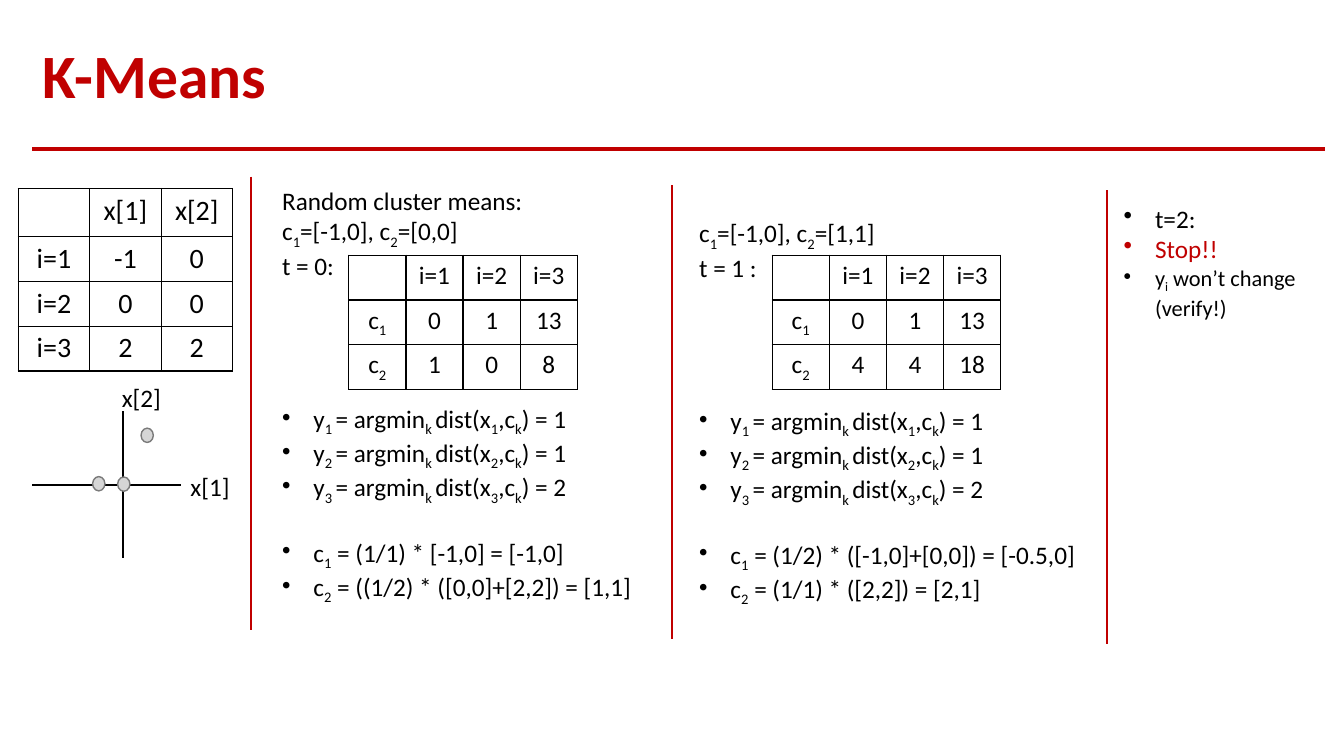
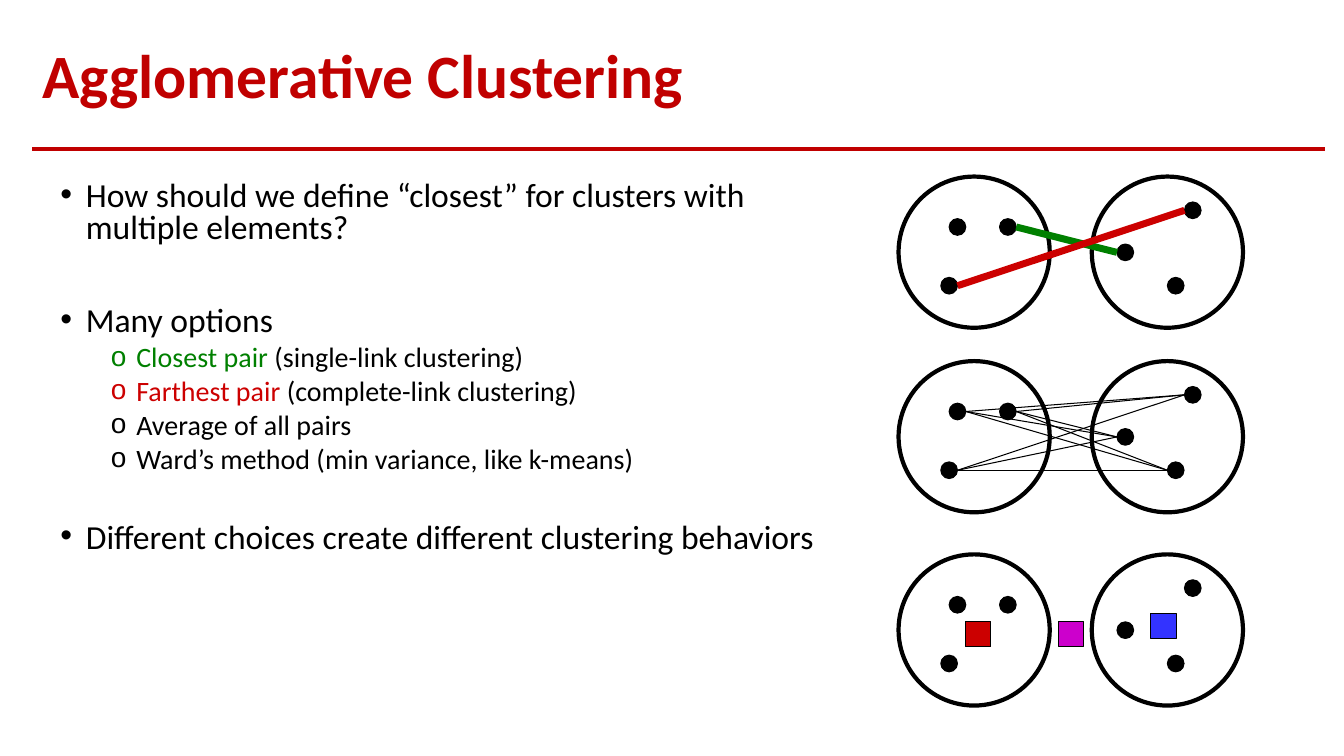
from dataclasses import dataclass
from itertools import product
from typing import Iterable, NamedTuple, Optional, Sequence

from lxml.etree import SubElement
from pptx import Presentation
from pptx.dml.color import RGBColor
from pptx.enum.shapes import MSO_CONNECTOR, MSO_SHAPE
from pptx.enum.text import MSO_ANCHOR, MSO_AUTO_SIZE, PP_ALIGN
from pptx.oxml import parse_xml
from pptx.oxml.ns import nsdecls, qn
from pptx.slide import Slide
from pptx.text.text import TextFrame
from pptx.util import Cm, Pt


@dataclass(frozen=True)
class Theme:
    font: str = "Calibri"
    ink: str = "000000"
    accent: str = "C00000"
    near: str = "008000"
    far: str = "CC0000"
    right_mean: str = "3333FF"
    joint_mean: str = "CC00CC"
    point_fill: str = "D6D6D6"
    point_line: str = "7A7A7A"
    title_size: float = 44
    body_size: float = 24
    sub_size: float = 20
    text_size: float = 18
    small_size: float = 16


THEME = Theme()
TITLE_ONLY, TITLE_AND_CONTENT = 5, 1


class Point(NamedTuple):
    x: float
    y: float


class Box(NamedTuple):
    left: float
    top: float
    width: float
    height: float

    def lengths(self) -> list[Cm]:
        return [Cm(value) for value in self]


@dataclass(frozen=True)
class TextLine:
    """One paragraph; braces in text mark subscripts, lead is a coloured opening."""
    text: str
    size: float = THEME.text_size
    color: str = THEME.ink
    lead: str = ""
    lead_color: str = THEME.ink
    bullet: str = ""
    indent: float = 0.79
    hang: float = 0.79
    level: int = 0
    before: float = 0
    spacing: Optional[float] = None


@dataclass(frozen=True)
class Grid:
    left: float
    top: float
    column_width: float
    header_height: float
    row_height: float
    size: float
    rows: Sequence[Sequence[str]]


@dataclass(frozen=True)
class Step:
    """One iteration of the algorithm: opening lines, distances and updates."""
    left: float
    intro_top: float
    intro: Sequence[str]
    grid: Grid
    updates_top: float
    updates: Sequence[str]


def rgb(color: str) -> RGBColor:
    return RGBColor.from_string(color)


def write_lines(frame: TextFrame, lines: Iterable[TextLine]) -> None:
    for index, line in enumerate(lines):
        paragraph = frame.add_paragraph() if index else frame.paragraphs[0]
        paragraph.level = line.level
        if line.bullet:
            properties = paragraph._p.get_or_add_pPr()
            properties.set("marL", str(Cm(line.indent)))
            properties.set("indent", str(-Cm(line.hang)))
            SubElement(properties, qn("a:buChar")).set("char", line.bullet)
        paragraph.space_before = Pt(line.before)
        if line.spacing:
            paragraph.line_spacing = line.spacing
        paragraph.font.name = THEME.font
        paragraph.font.size = Pt(line.size)
        paragraph.font.color.rgb = rgb(line.color)
        if line.lead:
            run = paragraph.add_run()
            run.text = line.lead
            run.font.color.rgb = rgb(line.lead_color)
        for position, piece in enumerate(line.text.replace("}", "{").split("{")):
            if piece:
                run = paragraph.add_run()
                run.text = piece
                if position % 2:
                    run._r.get_or_add_rPr().set("baseline", "-25000")


def add_text(slide: Slide, box: Box, lines: Iterable[TextLine]) -> None:
    frame = slide.shapes.add_textbox(*box.lengths()).text_frame
    frame.word_wrap = True
    write_lines(frame, lines)


def add_line(slide: Slide, start: Point, end: Point, color: str, width: float) -> None:
    connector = slide.shapes.add_connector(
        MSO_CONNECTOR.STRAIGHT, Cm(start.x), Cm(start.y), Cm(end.x), Cm(end.y))
    connector.line.color.rgb = rgb(color)
    connector.line.width = Pt(width)
    SubElement(connector._element.spPr, qn("a:effectLst"))


def add_marker(slide: Slide, kind: MSO_SHAPE, center: Point, width: float, height: float,
               fill: Optional[str], line: str = THEME.ink, line_width: float = 0.75) -> None:
    box = Box(center.x - width / 2, center.y - height / 2, width, height)
    shape = slide.shapes.add_shape(kind, *box.lengths())
    shape.shadow.inherit = False
    if fill:
        shape.fill.solid()
        shape.fill.fore_color.rgb = rgb(fill)
    else:
        shape.fill.background()
    shape.line.color.rgb = rgb(line)
    shape.line.width = Pt(line_width)


def add_grid(slide: Slide, grid: Grid) -> None:
    row_count, column_count = len(grid.rows), len(grid.rows[0])
    height = grid.header_height + (row_count - 1) * grid.row_height
    box = Box(grid.left, grid.top, column_count * grid.column_width, height)
    table = slide.shapes.add_table(row_count, column_count, *box.lengths()).table
    table.first_row = table.horz_banding = False
    for column in table.columns:
        column.width = Cm(grid.column_width)
    for index, (row, texts) in enumerate(zip(table.rows, grid.rows)):
        row.height = Cm(grid.row_height if index else grid.header_height)
        for cell, text in zip(row.cells, texts):
            cell.fill.background()
            properties = cell._tc.get_or_add_tcPr()
            for position, side in enumerate(("lnL", "lnR", "lnT", "lnB")):
                properties.insert(position, parse_xml(
                    f'<a:{side} {nsdecls("a")} w="{Pt(1)}"><a:solidFill>'
                    f'<a:srgbClr val="{THEME.ink}"/></a:solidFill></a:{side}>'))
            write_lines(cell.text_frame, [TextLine(text, grid.size)])
            cell.text_frame.paragraphs[0].alignment = PP_ALIGN.CENTER


def add_titled_slide(presentation: Presentation, layout: int, text: str) -> Slide:
    slide = presentation.slides.add_slide(presentation.slide_layouts[layout])
    add_line(slide, Point(0.81, 3.76), Point(33.38, 3.76), THEME.accent, 2.5)
    title = slide.shapes.title
    title.left, title.top, title.width, title.height = Box(0.81, 0.71, 32.56, 2.54).lengths()
    frame = title.text_frame
    frame.vertical_anchor = MSO_ANCHOR.MIDDLE
    write_lines(frame, [TextLine(text, THEME.title_size, THEME.accent, spacing=0.9)])
    frame.paragraphs[0].alignment = PP_ALIGN.LEFT
    frame.paragraphs[0].font.bold = True
    return slide


def distance_grid(left: float, first: Sequence[str], second: Sequence[str]) -> Grid:
    rows = (("", "i=1", "i=2", "i=3"), ("c{1}", *first), ("c{2}", *second))
    return Grid(left, 6.43, 1.44, 1.13, 1.13, THEME.text_size, rows)


DATA_GRID = Grid(0.46, 4.75, 1.8, 1.21, 1.13, THEME.sub_size, (
    ("", "x[1]", "x[2]"), ("i=1", "-1", "0"), ("i=2", "0", "0"), ("i=3", "2", "2")))
STEPS = (
    Step(6.86, 4.55, ("Random cluster means:", "c{1}=[-1,0], c{2}=[0,0]", "t = 0:"),
         distance_grid(8.79, ("0", "1", "13"), ("1", "0", "8")), 10.03,
         ("c{1} = (1/1) * [-1,0] = [-1,0]", "c{2} = ((1/2) * ([0,0]+[2,2]) = [1,1]")),
    Step(17.37, 5.36, ("c{1}=[-1,0], c{2}=[1,1]", "t = 1 :"),
         distance_grid(19.46, ("0", "1", "13"), ("4", "4", "18")), 10.08,
         ("c{1} = (1/2) * ([-1,0]+[0,0]) = [-0.5,0]", "c{2} = (1/1) * ([2,2]) = [2,1]")),
)
ASSIGNMENTS = (1, 1, 2)
DIVIDERS = (Point(6.32, 4.45), Point(16.94, 4.67), Point(27.89, 4.8))
DIVIDER_HEIGHT = 11.43


def add_step(slide: Slide, step: Step) -> None:
    add_text(slide, Box(step.left, step.intro_top, 9, 2), map(TextLine, step.intro))
    add_grid(slide, step.grid)
    lines = [TextLine(f"y{{{i} }}= argmin{{k }}dist(x{{{i}}},c{{k}}) = {cluster}", bullet="•")
             for i, cluster in enumerate(ASSIGNMENTS, start=1)]
    lines += [TextLine(text, bullet="•", before=0 if index else 22)
              for index, text in enumerate(step.updates)]
    add_text(slide, Box(step.left, step.updates_top, 10.4, 5.4), lines)


def add_scatter(slide: Slide) -> None:
    add_line(slide, Point(0.81, 12.22), Point(4.57, 12.22), THEME.ink, 1)
    add_line(slide, Point(3.1, 10.36), Point(3.1, 14.05), THEME.ink, 1)
    for center in (Point(3.71, 10.97), Point(3.12, 12.2), Point(2.49, 12.19)):
        add_marker(slide, MSO_SHAPE.OVAL, center, 0.31, 0.36,
                   THEME.point_fill, THEME.point_line, 1)
    add_text(slide, Box(4.55, 11.76, 1.75, 1.02), [TextLine("x[1]")])
    add_text(slide, Box(2.82, 9.52, 1.75, 1.02), [TextLine("x[2]")])


def build_k_means(presentation: Presentation) -> None:
    slide = add_titled_slide(presentation, TITLE_ONLY, "K-Means")
    add_grid(slide, DATA_GRID)
    add_scatter(slide)
    for step in STEPS:
        add_step(slide, step)
    for top in DIVIDERS:
        add_line(slide, top, Point(top.x, top.y + DIVIDER_HEIGHT), THEME.accent, 1.5)
    add_text(slide, Box(28.07, 5, 5.18, 3.18), (
        TextLine("t=2:", bullet="•"),
        TextLine("Stop!!", color=THEME.accent, bullet="•"),
        TextLine("y{i} won’t change (verify!)", THEME.small_size, bullet="•")))


def main_bullet(text: str, before: float = 0) -> TextLine:
    return TextLine(text, THEME.body_size, bullet="•", indent=0.64, hang=0.64,
                    before=before, spacing=0.8)


def sub_bullet(text: str, lead: str = "", lead_color: str = THEME.ink) -> TextLine:
    return TextLine(text, THEME.sub_size, lead=lead, lead_color=lead_color, bullet="o",
                    indent=1.91, hang=0.64, level=1, before=5, spacing=0.8)


LINKAGE_LINES = (
    main_bullet("How should we define “closest” for clusters with multiple elements?"),
    main_bullet("Many options", 43.5),
    sub_bullet(" (single-link clustering)", "Closest pair", THEME.near),
    sub_bullet(" (complete-link clustering)", "Farthest pair", THEME.far),
    sub_bullet("Average of all pairs"),
    sub_bullet("Ward’s method (min variance, like k-means)"),
    main_bullet("Different choices create different clustering behaviors", 34.5),
)
PAIR_TOP, AVERAGE_TOP, WARD_TOP = 4.45, 9.1, 13.97
CLUSTER_SIZE, CLUSTER_CENTERS = 3.81, (24.55, 29.42)
DOT_SIZE, MEAN_SIZE = 0.42, 0.64
# Dot and mean centres are measured down from the top of each cluster pair.
LEFT_DOTS = (Point(24.13, 1.27), Point(23.92, 2.75), Point(25.4, 1.27))
RIGHT_DOTS = (Point(28.36, 1.91), Point(29.63, 2.75), Point(30.06, 0.85))
MEANS = ((Point(24.65, 2.01), THEME.far), (Point(29.32, 1.8), THEME.right_mean),
         (Point(26.99, 2.01), THEME.joint_mean))


def add_cluster_pair(slide: Slide, top: float) -> None:
    for x in CLUSTER_CENTERS:
        add_marker(slide, MSO_SHAPE.OVAL, Point(x, top + CLUSTER_SIZE / 2),
                   CLUSTER_SIZE, CLUSTER_SIZE, None, line_width=3)
    for dot in LEFT_DOTS + RIGHT_DOTS:
        add_marker(slide, MSO_SHAPE.OVAL, Point(dot.x, top + dot.y),
                   DOT_SIZE, DOT_SIZE, THEME.ink)


def link_dots(slide: Slide, top: float, left: Point, right: Point,
              color: str = THEME.ink, width: float = 0.75) -> None:
    """Join the facing edges of two dots."""
    add_line(slide, Point(left.x + DOT_SIZE / 2, top + left.y),
             Point(right.x - DOT_SIZE / 2, top + right.y), color, width)


def build_agglomerative(presentation: Presentation) -> None:
    slide = add_titled_slide(presentation, TITLE_AND_CONTENT, "Agglomerative Clustering")
    body = slide.placeholders[1]
    body.left, body.top, body.width, body.height = Box(1.27, 4.45, 19.69, 13.13).lengths()
    body.text_frame.auto_size = MSO_AUTO_SIZE.NONE
    write_lines(body.text_frame, LINKAGE_LINES)
    for top in (PAIR_TOP, AVERAGE_TOP, WARD_TOP):
        add_cluster_pair(slide, top)
    link_dots(slide, PAIR_TOP, LEFT_DOTS[2], RIGHT_DOTS[0], THEME.near, 5)
    link_dots(slide, PAIR_TOP, LEFT_DOTS[1], RIGHT_DOTS[2], THEME.far, 5)
    for left, right in product(LEFT_DOTS, RIGHT_DOTS):
        link_dots(slide, AVERAGE_TOP, left, right)
    for mean, color in MEANS:
        add_marker(slide, MSO_SHAPE.RECTANGLE, Point(mean.x, WARD_TOP + mean.y),
                   MEAN_SIZE, MEAN_SIZE, color)


def main() -> None:
    presentation = Presentation()
    presentation.slide_width, presentation.slide_height = Cm(33.87), Cm(19.05)
    build_k_means(presentation)
    build_agglomerative(presentation)
    presentation.save("out.pptx")


if __name__ == "__main__":
    main()
